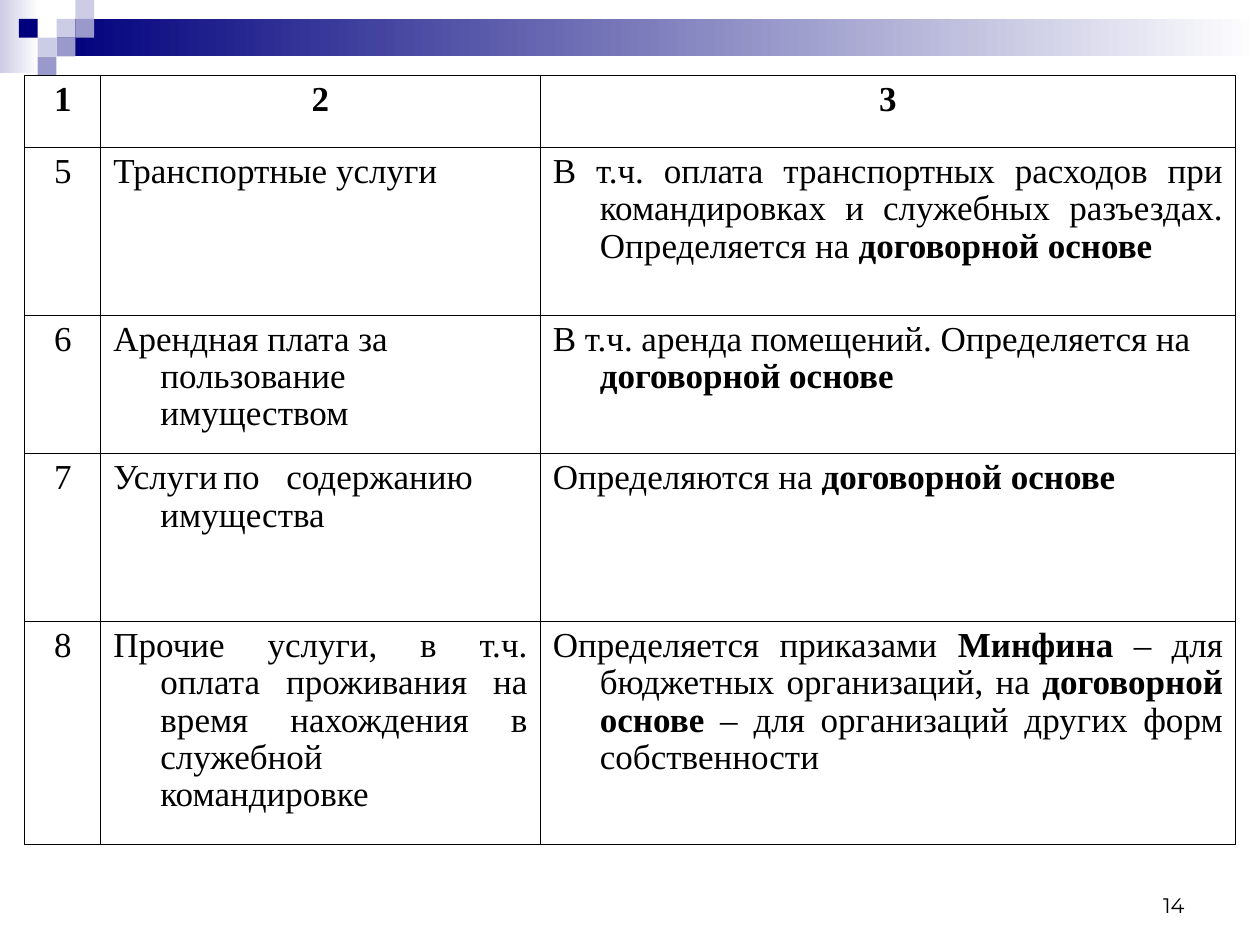
from dataclasses import dataclass

from lxml import etree
from pptx import Presentation
from pptx import util as u
from pptx.dml.color import RGBColor
from pptx.enum import shapes, text
from pptx.oxml.ns import qn


@dataclass(frozen=True)
class Theme:
    navy: str = "00007D"
    mid: str = "9999CC"
    pale: str = "CCCCE6"
    white: str = "FFFFFF"
    black: str = "000000"
    serif: str = "Times New Roman"
    sans: str = "Montserrat"
    body: float = 20
    small: float = 12
    rule: float = 0.45
    lead: float = 0.96


LOOK = Theme()
STEP = 0.38  # side of one square of the corner pattern, cm
LEFT, MID, JUST = (text.PP_ALIGN.LEFT, text.PP_ALIGN.CENTER,
                   text.PP_ALIGN.JUSTIFY)

# column, row, colour
TILES = [
    (3, 1, LOOK.pale), (4, 0, LOOK.pale), (4, 1, LOOK.mid),
    (2, 2, LOOK.pale), (1, 1, LOOK.navy), (3, 2, LOOK.mid),
    (2, 3, LOOK.mid),
]
COLS = [1.53, 8.86, 14.02]
ROWS = [1.45, 3.38, 2.8, 3.38, 4.5]

# number, (service, alignment), (basis, alignment); stars enclose bold text
HEAD = ("*1*", ("*2*", MID), ("*3*", MID))
BODY = [
    ("5", ("Транспортные услуги", LEFT),
     ("В т.ч. оплата транспортных расходов при командировках и служебных "
      "разъездах. Определяется на *договорной основе*", JUST)),
    ("6", ("Арендная плата за пользование имуществом", LEFT),
     ("В т.ч. аренда помещений. Определяется на *договорной основе*", LEFT)),
    ("7", ("Услуги\tпо\tсодержанию имущества", LEFT),
     ("Определяются на *договорной основе*", LEFT)),
    ("8", ("Прочие услуги, в т.ч. оплата проживания на время нахождения в "
           "служебной командировке", JUST),
     ("Определяется приказами *Минфина *– для бюджетных организаций, на "
      "*договорной основе *– для организаций других форм собственности",
      JUST)),
]


def add_box(slide, left, top, width, height, *tints):
    """Draw a rectangle: one tint is solid, two run from left to right."""
    box = slide.shapes.add_shape(shapes.MSO_SHAPE.RECTANGLE, u.Cm(left),
                                 u.Cm(top), u.Cm(width), u.Cm(height))
    box.shadow.inherit = False
    box.line.fill.background()
    if len(tints) == 1:
        box.fill.solid()
        box.fill.fore_color.rgb = RGBColor.from_string(tints[0])
    else:
        box.fill.gradient()
        box.fill.gradient_angle = 0
        for stop, tint in zip(box.fill.gradient_stops, tints):
            stop.color.rgb = RGBColor.from_string(tint)


def set_font(run, name, size, bold=False):
    run.font.name = name
    run.font.size = u.Pt(size)
    run.font.bold = bold
    run.font.color.rgb = RGBColor.from_string(LOOK.black)


def add_rules(cell):
    props = cell._tc.get_or_add_tcPr()
    for n, side in enumerate(("a:lnL", "a:lnR", "a:lnT", "a:lnB")):
        line = etree.Element(qn(side), w=str(u.Pt(LOOK.rule)))
        fill = etree.SubElement(line, qn("a:solidFill"))
        etree.SubElement(fill, qn("a:srgbClr"), val=LOOK.black)
        props.insert(n, line)


def add_tabs(props, stops):
    tabs = etree.SubElement(props, qn("a:tabLst"))
    for stop in stops:
        etree.SubElement(tabs, qn("a:tab"), pos=str(u.Cm(stop)), algn="l")


def fill_cell(cell, words, align):
    cell.fill.background()
    add_rules(cell)
    para = cell.text_frame.paragraphs[0]
    para.alignment = align
    para.line_spacing = LOOK.lead
    props = para._p.get_or_add_pPr()
    props.set("marL", str(u.Cm(0.95)))
    props.set("indent", str(u.Cm(-0.95)))
    if "\t" in words:
        add_tabs(props, (2.62, 4.19))
    for n, part in enumerate(words.split("*")):
        if part:
            run = para.add_run()
            run.text = part
            set_font(run, LOOK.serif, LOOK.body, bold=n % 2 == 1)


def add_grid(slide):
    frame = slide.shapes.add_table(len(ROWS), len(COLS), u.Cm(0.5), u.Cm(1.52),
                                   u.Cm(sum(COLS)), u.Cm(sum(ROWS)))
    grid = frame.table
    grid.first_row = grid.horz_banding = False
    for col, width in zip(grid.columns, COLS):
        col.width = u.Cm(width)
    for row, height in zip(grid.rows, ROWS):
        row.height = u.Cm(height)
    for r, (num, *rest) in enumerate([HEAD, *BODY]):
        for c, (words, align) in enumerate([(num, MID), *rest]):
            fill_cell(grid.cell(r, c), words, align)


def add_page(slide, num):
    box = slide.shapes.add_textbox(u.Cm(18.2), u.Cm(17.35),
                                   u.Cm(5.93), u.Cm(1.27))
    frame = box.text_frame
    frame.word_wrap = True
    frame.vertical_anchor = text.MSO_ANCHOR.BOTTOM
    frame.text = num
    para = frame.paragraphs[0]
    para.alignment = text.PP_ALIGN.RIGHT
    set_font(para.runs[0], LOOK.sans, LOOK.small)


def main():
    deck = Presentation()
    deck.slide_width, deck.slide_height = u.Cm(25.4), u.Cm(19.05)
    slide = deck.slides.add_slide(deck.slide_layouts[6])
    add_box(slide, 0, 0, 0.78, 1.47, LOOK.pale, LOOK.white)
    add_box(slide, 3 * STEP, STEP, 25.4 - 3 * STEP, 2 * STEP,
            LOOK.navy, LOOK.white)
    for col, row, tint in TILES:
        add_box(slide, col * STEP, row * STEP, STEP, STEP, tint)
    add_grid(slide)
    add_page(slide, "14")
    deck.save("out.pptx")


if __name__ == "__main__":
    main()
